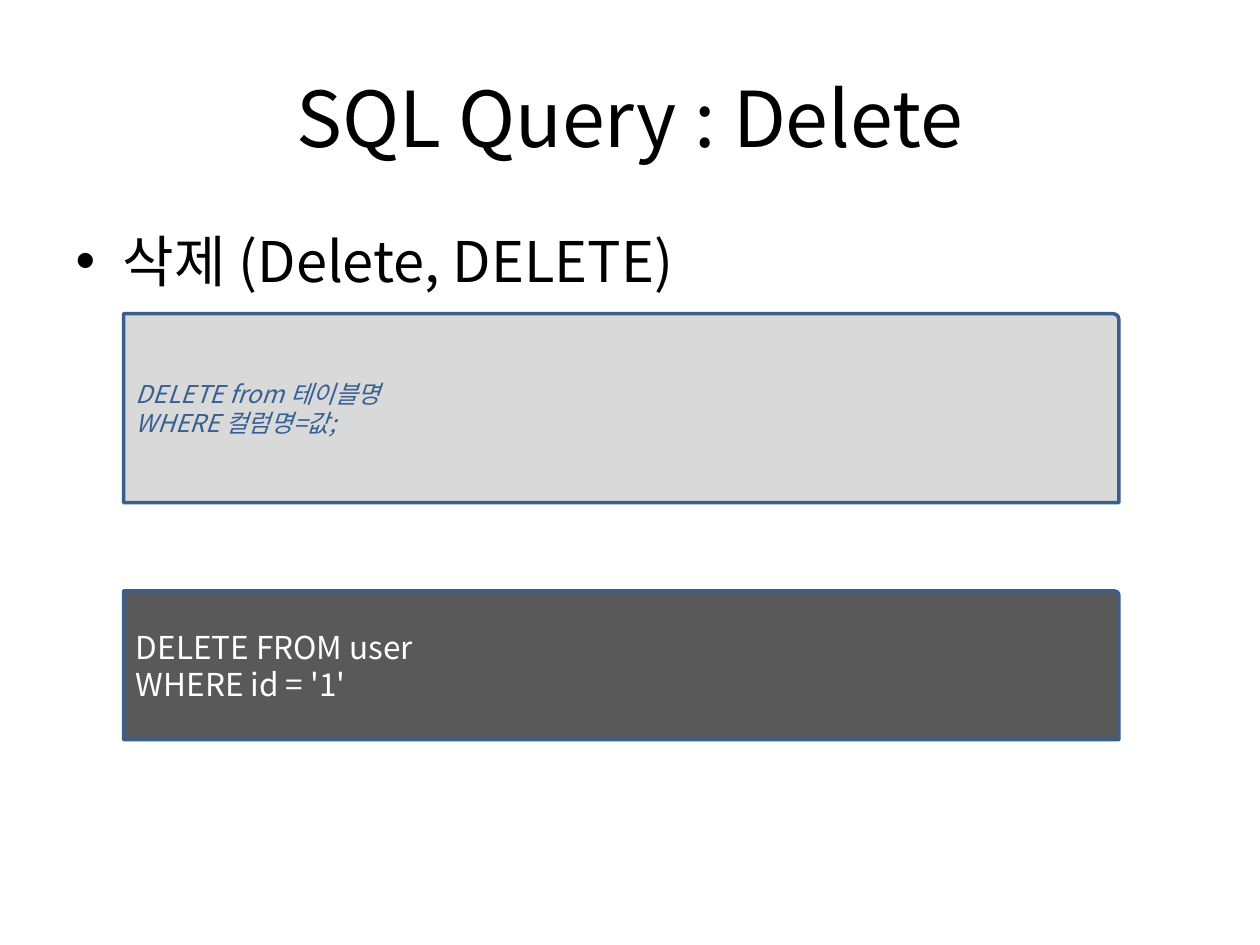
from pptx import Presentation
from pptx.dml.color import RGBColor
from pptx.enum.shapes import MSO_SHAPE as Kind
from pptx.enum.text import MSO_ANCHOR as Anchor, PP_ALIGN as Align
from pptx.oxml.ns import qn
from pptx.util import Pt
from lxml.etree import SubElement

FONT = "Noto Sans CJK KR"
BLACK = RGBColor(0x00, 0x00, 0x00)
WHITE = RGBColor(0xFF, 0xFF, 0xFF)
DARK = RGBColor(0x59, 0x59, 0x59)
LIGHT = RGBColor(0xD9, 0xD9, 0xD9)
EDGE = RGBColor(0x3A, 0x5F, 0x8C)
BLUE = RGBColor(0x37, 0x60, 0x92)

TITLE = "SQL Query : Delete"
TOPIC = "삭제 (Delete, DELETE)"
BOXES = [
    dict(text="DELETE FROM user\nWHERE id = '1'", top=337.7, high=85,
         fill=DARK, style=dict(size=18, color=WHITE)),
    dict(text="DELETE from 테이블명\nWHERE 컬럼명=값;", top=179.3, high=108,
         fill=LIGHT, style=dict(size=14, color=BLUE, italic=True)),
]
LEFT, WIDE = 70.6, 568.8


def write(shape, text, size, color=BLACK, align=Align.LEFT,
          anchor=Anchor.MIDDLE, italic=None):
    frame = shape.text_frame
    frame.word_wrap = True
    frame.vertical_anchor = anchor
    frame.text = text
    for para in frame.paragraphs:
        para.alignment = align
        for run in para.runs:
            font = run.font
            font.size = Pt(size)
            font.italic = italic
            font.color.rgb = color
            font.name = FONT
            SubElement(run._r.get_or_add_rPr(), qn("a:ea"), typeface=FONT)


def place(shape, *rect):
    shape.left, shape.top, shape.width, shape.height = map(Pt, rect)


deck = Presentation()
deck.slide_width, deck.slide_height = Pt(720), Pt(540)
slide = deck.slides.add_slide(deck.slide_layouts[1])
title, body = slide.placeholders

place(title, 36, 21.6, 648, 90)
write(title, TITLE, size=44, align=Align.CENTER)
place(body, 36, 126, 648, 356.4)
write(body, TOPIC, size=32, anchor=Anchor.TOP)

for item in BOXES:
    box = slide.shapes.add_shape(
        Kind.ROUND_1_RECTANGLE, Pt(LEFT), Pt(item["top"]), Pt(WIDE), Pt(item["high"]))
    box.adjustments[0] = 0.03
    box.shadow.inherit = False
    box.fill.solid()
    box.fill.fore_color.rgb = item["fill"]
    box.line.color.rgb = EDGE
    box.line.width = Pt(2)
    write(box, item["text"], **item["style"])

deck.save("out.pptx")
